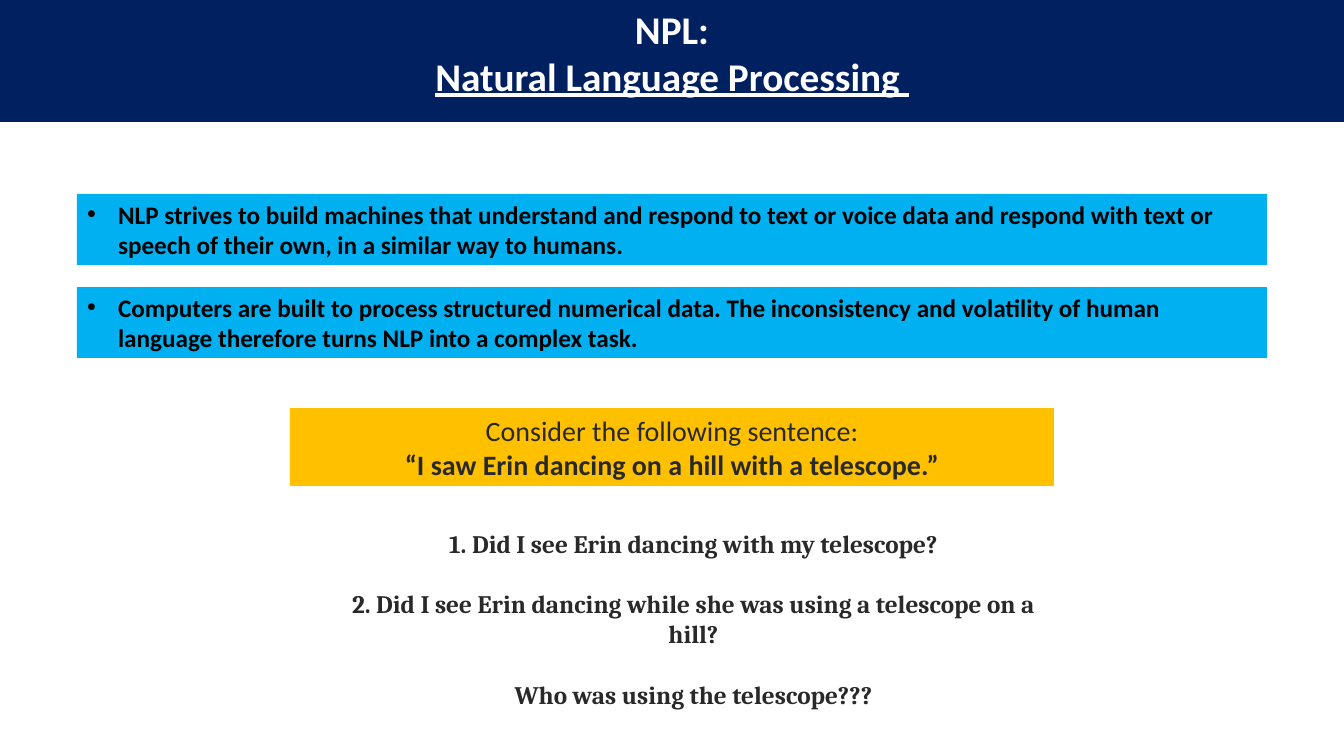
from pptx import Presentation
from pptx import util as u
from pptx.dml.color import RGBColor
from pptx.enum import shapes, text

PX = 914400 / 100.8
COLORS = {"navy": "002060", "sky": "00B0F0", "amber": "FFC000",
          "white": "FFFFFF", "black": "000000", "ink": "292929"}


def px(length):
    return u.Emu(round(length * PX))


def write(shape, *lines, box, size, color, fill=None, font="Calibri", bold=(True,),
          underline=(None,), align=text.PP_ALIGN.CENTER, gap=0, hanging=0,
          anchor=text.MSO_ANCHOR.TOP):
    """Place a shape and write its lines; bold and underline are cycled per line."""
    shape.left, shape.top, shape.width, shape.height = map(px, box)
    if fill:
        shape.fill.solid()
        shape.fill.fore_color.rgb = RGBColor.from_string(COLORS[fill])
    frame = shape.text_frame
    frame.word_wrap = True
    frame.auto_size = text.MSO_AUTO_SIZE.NONE
    frame.vertical_anchor = anchor
    for i, line in enumerate(lines):
        paragraph = frame.add_paragraph() if i else frame.paragraphs[0]
        paragraph.alignment = align
        paragraph.space_before = u.Pt(gap if i else 0)
        if hanging:
            properties = paragraph._p.get_or_add_pPr()
            properties.set("marL", str(px(hanging)))
            properties.set("indent", str(-px(hanging)))
        run = paragraph.add_run()
        run.text = line
        run.font.name = font
        run.font.size = u.Pt(size)
        run.font.bold = bold[i % len(bold)]
        run.font.underline = underline[i % len(underline)]
        run.font.color.rgb = RGBColor.from_string(COLORS[color])


presentation = Presentation()
presentation.slide_width = px(1344)
presentation.slide_height = px(756)
slide = presentation.slides.add_slide(presentation.slide_layouts[3])

# Heading band
heading, *statements = [p for p in slide.placeholders if p.placeholder_format.idx < 3]
write(heading, "NPL:", "Natural Language Processing ", box=(0, 0, 1344, 122),
      size=28, color="white", fill="navy", underline=(None, True))

# Two statements about NLP
nlp_facts = [
    "NLP strives to build machines that understand and respond to text or voice data "
    "and respond with text or speech of their own, in a similar way to humans.",
    "Computers are built to process structured numerical data. The inconsistency and "
    "volatility of human language therefore turns NLP into a complex task.",
]
for row, (statement, fact) in enumerate(zip(statements, nlp_facts)):
    write(statement, fact, box=(77, 194 + 93 * row, 1190, 71), size=18, color="black",
          fill="sky", align=text.PP_ALIGN.LEFT, hanging=31)

# Example sentence
example = slide.shapes.add_shape(shapes.MSO_SHAPE.RECTANGLE, 0, 0, 0, 0)
example.shadow.inherit = False
example.line.fill.background()
write(example, "Consider the following sentence:",
      "“I saw Erin dancing on a hill with a telescope.”", box=(290, 408, 764, 78),
      size=20, color="ink", fill="amber", bold=(False, True),
      anchor=text.MSO_ANCHOR.MIDDLE)

# Possible readings
questions = slide.shapes.add_textbox(0, 0, 0, 0)
write(questions, "1. Did I see Erin dancing with my telescope?",
      "2. Did I see Erin dancing while she was using a telescope on a hill?",
      "Who was using the telescope???", box=(337, 523, 713, 163), size=18,
      color="ink", font="Cambria", gap=21.5)

presentation.save("out.pptx")
